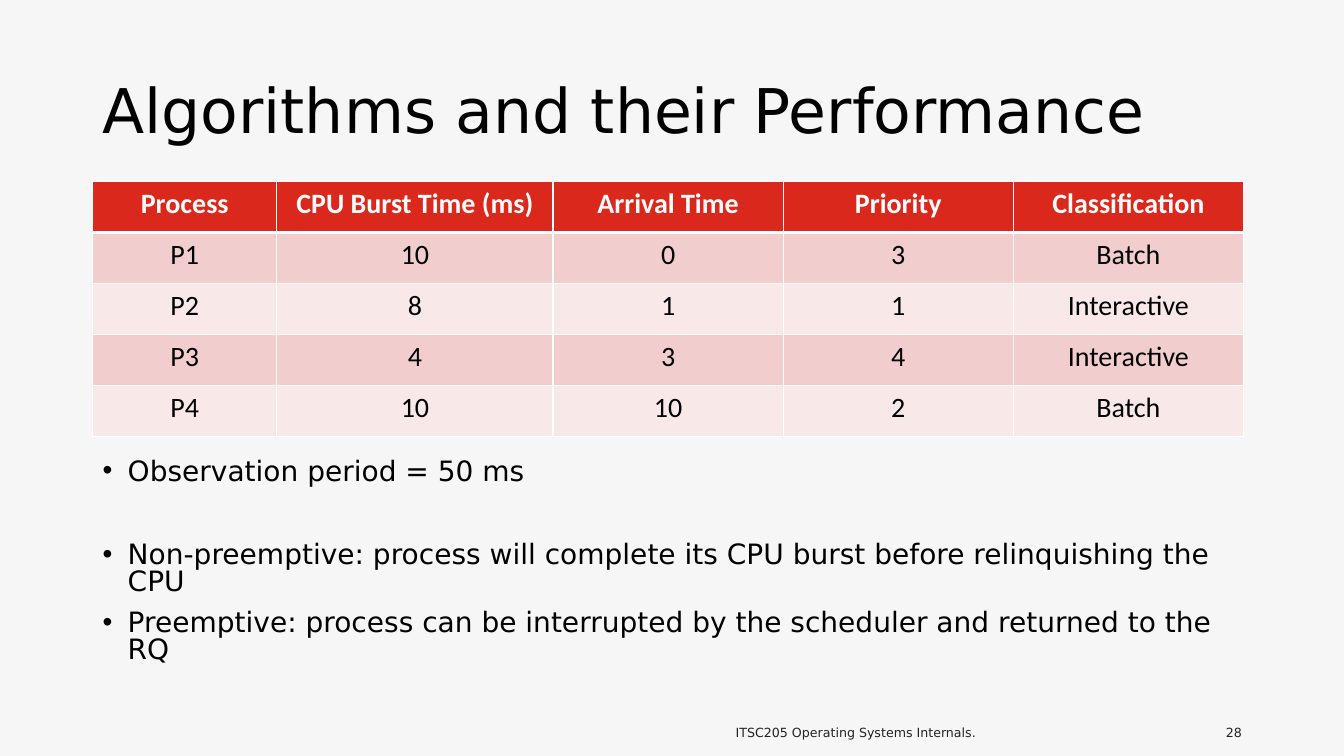
"""Builds the slide on scheduling algorithms and their performance."""
from lxml.etree import SubElement
from pptx import Presentation
from pptx.dml.color import RGBColor
from pptx.enum.text import MSO_ANCHOR as Anchor, PP_ALIGN as Align
from pptx.oxml.ns import qn
from pptx.util import Pt

TITLE = "Algorithms and their Performance"
PROCESSES = [
    ("Process", "CPU Burst Time (ms)", "Arrival Time", "Priority", "Classification"),
    ("P1", "10", "0", "3", "Batch"),
    ("P2", "8", "1", "1", "Interactive"),
    ("P3", "4", "3", "4", "Interactive"),
    ("P4", "10", "10", "2", "Batch"),
]
NOTES = [
    ("Observation period = 50 ms", 0),
    ("Non-preemptive: process will complete its CPU burst before relinquishing the CPU", 40.5),
    ("Preemptive: process can be interrupted by the scheduler and returned to the RQ", 10),
]
FOOTER = "ITSC205 Operating Systems Internals."
PAGE_NUMBER = "28"

COLORS = {
    "background": "F6F6F6", "text": "000000", "footer": "222222", "white": "FFFFFF",
    "header": "DA291C", "odd": "F1CDCD", "even": "F8E8E8",
}
LEFT, WIDTH = 66.2, 828
COLUMN_WIDTHS = [131.6, 197.3, 164.4, 164.4, 164.4]
TABLE_TOP, ROW_HEIGHT = 129.6, 36.5
FOOTER_TOP, FOOTER_HEIGHT = 503.3, 28.8
INDENT = 18


def rgb(name):
    return RGBColor.from_string(COLORS[name])


def set_all(target, values):
    for name, value in values.items():
        setattr(target, name, value)


def style_font(paragraph, size, color, name="DejaVu Sans", bold=False):
    set_all(paragraph.font, {"size": Pt(size), "name": name, "bold": bold})
    paragraph.font.color.rgb = rgb(color)


def add_text_box(slide, box, anchor):
    frame = slide.shapes.add_textbox(*map(Pt, box)).text_frame
    set_all(frame, {"word_wrap": True, "vertical_anchor": anchor})
    return frame


def add_line(slide, text, box, size, color, anchor, values):
    paragraph = add_text_box(slide, box, anchor).paragraphs[0]
    set_all(paragraph, {"text": text, **values})
    style_font(paragraph, size, color)


def add_notes(slide):
    frame = add_text_box(slide, (LEFT, 328.5, WIDTH, 158), Anchor.TOP)
    frame.margin_top = 0
    for index, (text, gap) in enumerate(NOTES):
        paragraph = frame.add_paragraph() if index else frame.paragraphs[0]
        set_all(paragraph, {"text": text, "line_spacing": 0.8, "space_before": Pt(gap)})
        properties = paragraph._p.get_or_add_pPr()
        properties.set("marL", str(Pt(INDENT)))
        properties.set("indent", str(-Pt(INDENT)))
        SubElement(properties, qn("a:buFont")).set("typeface", "Arial")
        SubElement(properties, qn("a:buChar")).set("char", "•")
        style_font(paragraph, 20, "text")


def set_borders(cell, widths):
    properties = cell._tc.get_or_add_tcPr()
    for side, width in widths.items():
        line = SubElement(properties, qn(f"a:ln{side}"), w=str(Pt(width)))
        fill = SubElement(line, qn("a:solidFill"))
        SubElement(fill, qn("a:srgbClr"), val=COLORS["white"])


def add_process_table(slide):
    rows, columns = len(PROCESSES), len(COLUMN_WIDTHS)
    box = (LEFT, TABLE_TOP, sum(COLUMN_WIDTHS), rows * ROW_HEIGHT)
    table = slide.shapes.add_table(rows, columns, *map(Pt, box)).table
    for column, width in zip(table.columns, COLUMN_WIDTHS):
        column.width = Pt(width)
    for row_index, values in enumerate(PROCESSES):
        table.rows[row_index].height = Pt(ROW_HEIGHT)
        header = row_index == 0
        fill = "header" if header else "odd" if row_index % 2 else "even"
        borders = {"L": 1, "R": 1, "T": 3 if row_index == 1 else 1, "B": 3 if header else 1}
        for column_index, value in enumerate(values):
            cell = table.cell(row_index, column_index)
            set_borders(cell, borders)
            cell.fill.solid()
            cell.fill.fore_color.rgb = rgb(fill)
            paragraph = cell.text_frame.paragraphs[0]
            set_all(paragraph, {"text": value, "alignment": Align.CENTER})
            style_font(paragraph, 20, "white" if header else "text", "Calibri", header)


def main():
    presentation = Presentation()
    set_all(presentation, {"slide_width": Pt(960), "slide_height": Pt(540)})
    slide = presentation.slides.add_slide(presentation.slide_layouts[6])
    slide.background.fill.solid()
    slide.background.fill.fore_color.rgb = rgb("background")
    add_line(slide, TITLE, (LEFT, 28.8, WIDTH, 104.4), 44, "text", Anchor.MIDDLE,
             {"line_spacing": 0.9})
    add_notes(slide)
    add_process_table(slide)
    for text, left, width, align in [(FOOTER, 411.8, 398.9, Align.CENTER),
                                     (PAGE_NUMBER, 825.1, 69.1, Align.RIGHT)]:
        add_line(slide, text, (left, FOOTER_TOP, width, FOOTER_HEIGHT), 9, "footer",
                 Anchor.BOTTOM, {"alignment": align})
    presentation.save("out.pptx")


if __name__ == "__main__":
    main()
